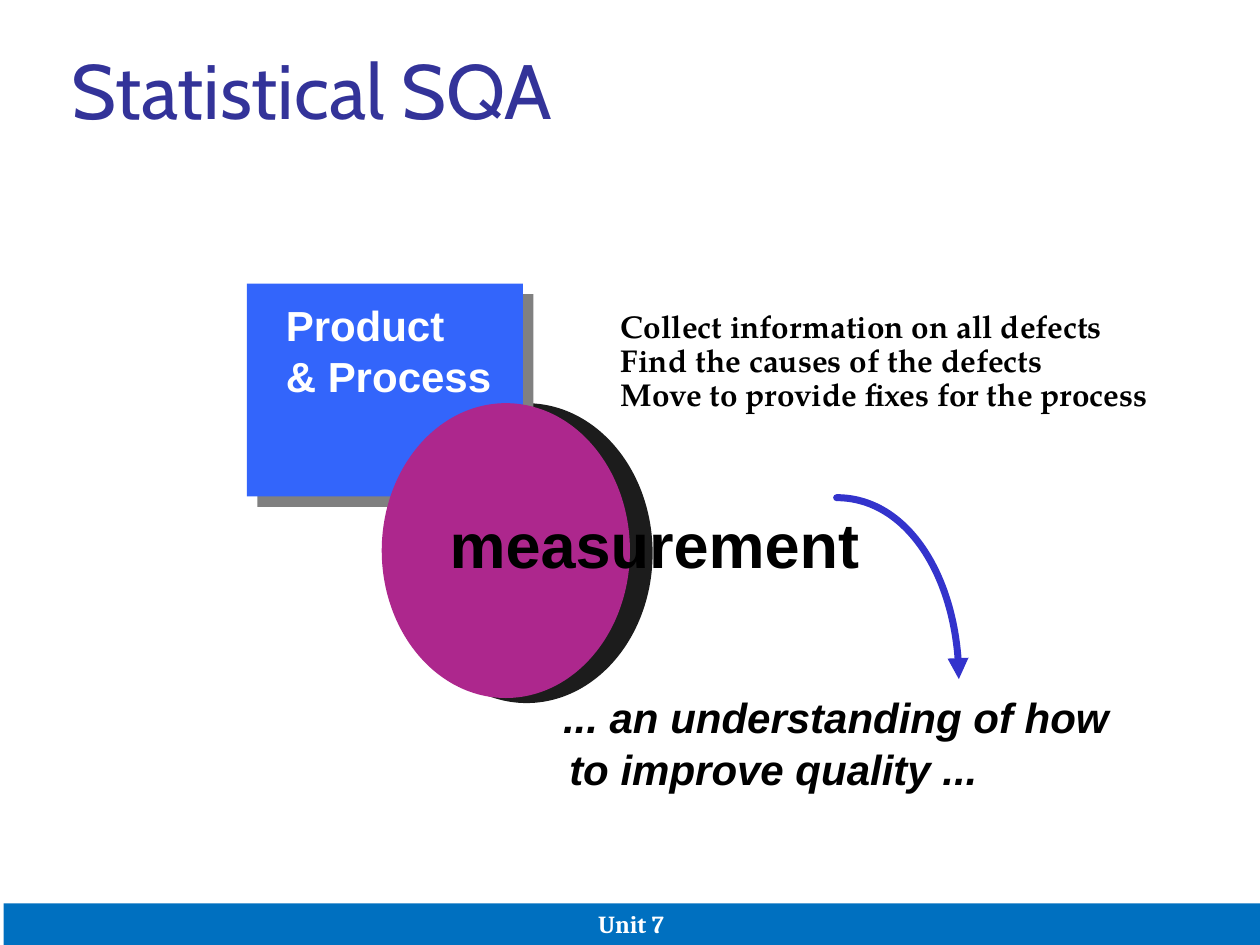
from dataclasses import dataclass

from lxml.etree import SubElement
from pptx import Presentation
from pptx.dml.color import RGBColor
from pptx.enum.shapes import MSO_SHAPE as SHAPE
from pptx.enum.text import MSO_ANCHOR as ANCHOR, MSO_AUTO_SIZE as FIT, PP_ALIGN as ALIGN
from pptx.oxml.ns import qn
from pptx.util import Emu, Inches, Pt

CELL = Inches(0.1)  # the slide is a grid of 100 columns by 75 rows
COLS, ROWS = 100, 75


@dataclass(frozen=True)
class Theme:
    title: str = "333399"
    product: str = "3365FB"
    product_shadow: str = "808080"
    measure: str = "AD278D"
    measure_shadow: str = "1C1C1C"
    arrow: str = "3333CC"
    footer: str = "0070C0"
    dark: str = "000000"
    light: str = "FFFFFF"
    heading_font: str = "Cabin"
    label_font: str = "Arial"
    list_font: str = "TeX Gyre Pagella"
    footer_font: str = "Cambria"
    title_size: int = 44
    big_size: int = 36
    label_size: int = 24
    list_size: int = 18
    footer_size: int = 14


THEME = Theme()


@dataclass(frozen=True)
class Box:
    """An area of the grid, in columns and rows."""
    col: float
    row: float
    cols: float
    rows: float

    def inner(self, col, row, cols, rows):
        return Box(self.col + col, self.row + row, cols, rows)

    def emu(self):
        return [Emu(round(n * CELL)) for n in (self.col, self.row, self.cols, self.rows)]


def write(sp, lines, *, size, color, font=THEME.label_font, bold=True, italic=False,
          align=None, anchor=ANCHOR.TOP, spacing=None, wrap=False, margins=(0.1, 0.05)):
    tf = sp.text_frame
    tf.word_wrap = wrap
    tf.auto_size = FIT.NONE if wrap else FIT.SHAPE_TO_FIT_TEXT
    tf.vertical_anchor = anchor
    tf.margin_left = tf.margin_right = Inches(margins[0])
    tf.margin_top = tf.margin_bottom = Inches(margins[1])
    for i, line in enumerate(lines):
        p = tf.add_paragraph() if i else tf.paragraphs[0]
        p.alignment = align
        p.line_spacing = spacing
        r = p.add_run()
        r.text = line
        r.font.name, r.font.size = font, Pt(size)
        r.font.bold, r.font.italic = bold, italic
        r.font.color.rgb = RGBColor.from_string(color)


def add_text(slide, box, *lines, **fmt):
    write(slide.shapes.add_textbox(*box.emu()), lines, **fmt)


def add_solid(slide, kind, box, color):
    sp = slide.shapes.add_shape(kind, *box.emu())
    sp.shadow.inherit = False
    sp.fill.solid()
    sp.fill.fore_color.rgb = RGBColor.from_string(color)
    sp.line.fill.background()
    return sp


def add_drop_shadow(sp, color, distance):
    effects = sp.element.spPr.find(qn("a:effectLst"))
    shadow = SubElement(effects, qn("a:outerShdw"), dist=str(Pt(distance)),
                        dir=str(45 * 60000), algn="tl", rotWithShape="0")
    SubElement(shadow, qn("a:srgbClr"), val=color)


def add_curved_arrow(slide, box, color, width):
    """Quarter ellipse from the top left to the bottom right of the box."""
    x, y, w, h = box.emu()
    builder = slide.shapes.build_freeform(x, y)
    builder.add_line_segments([(x + w, y + h)], close=False)
    sp = builder.convert_to_shape()
    sp.shadow.inherit = False
    sp.fill.background()
    sp.line.color.rgb = RGBColor.from_string(color)
    sp.line.width = Pt(width)

    # Turn the straight segment into a curve
    segment = next(sp.element.iter(qn("a:lnTo")))
    segment.tag = qn("a:cubicBezTo")
    for child in list(segment):
        segment.remove(child)
    for px, py in ((0.55, 0), (1, 0.45), (1, 1)):
        SubElement(segment, qn("a:pt"), x=str(round(w * px)), y=str(round(h * py)))

    # Round start and arrowhead
    ln = sp.element.spPr.find(qn("a:ln"))
    ln.set("cap", "rnd")
    SubElement(ln, qn("a:round"))
    SubElement(ln, qn("a:tailEnd"), type="triangle")


def title(slide, box):
    sp = slide.shapes.title
    sp.left, sp.top, sp.width, sp.height = box.emu()
    write(sp, ["Statistical SQA"], size=THEME.title_size, color=THEME.title,
          font=THEME.heading_font, bold=False, align=ALIGN.LEFT,
          anchor=ANCHOR.MIDDLE, margins=(0.07, 0.03))


def measurement_diagram(slide, box):
    # Dark disc behind, then the product square and its label
    add_solid(slide, SHAPE.OVAL, box.inner(12.2, 9.5, 20, 23.8), THEME.measure_shadow)
    square = add_solid(slide, SHAPE.RECTANGLE, box.inner(0, 0, 21.9, 16.9), THEME.product)
    add_drop_shadow(square, THEME.product_shadow, 8.5)
    add_text(slide, box.inner(2.1, 0.8, 18.3, 9), "Product", "& Process",
             size=THEME.label_size, color=THEME.light)
    # Measurement disc
    add_solid(slide, SHAPE.OVAL, box.inner(10.7, 9.5, 19.7, 23.4), THEME.measure)
    add_text(slide, box.inner(15.1, 17.1, 34.5, 7), "measurement",
             size=THEME.big_size, color=THEME.dark)


def outcome(slide, box):
    for line, col, row, cols in (("... an understanding of how", 0, 14.9, 46.2),
                                 ("to improve quality ...", 0.5, 19, 34.4)):
        add_text(slide, box.inner(col, row, cols, 5), line,
                 size=THEME.label_size, color=THEME.dark, italic=True)
    add_curved_arrow(slide, box.inner(22.7, 0, 9.7, 14.4), THEME.arrow, 4)


def steps(slide, box):
    add_text(slide, box, "Collect information on all defects",
             "Find the causes of the defects",
             "Move to provide fixes for the process",
             size=THEME.list_size, color=THEME.dark, font=THEME.list_font, spacing=0.9)


def footer(slide, box):
    bar = add_solid(slide, SHAPE.RECTANGLE, box, THEME.footer)
    write(bar, ["Unit 7 "], size=THEME.footer_size, color=THEME.light,
          font=THEME.footer_font, align=ALIGN.CENTER, anchor=ANCHOR.BOTTOM, wrap=True)


def main():
    prs = Presentation()
    prs.slide_width, prs.slide_height = COLS * CELL, ROWS * CELL
    slide = prs.slides.add_slide(prs.slide_layouts[5])
    title(slide, Box(5, 3, 40.8, 8))
    measurement_diagram(slide, Box(19.6, 22.5, 32.2, 33.3))
    outcome(slide, Box(43.7, 39.5, 46.2, 24))
    steps(slide, Box(48.3, 24.2, 44.2, 9.1))
    footer(slide, Box(0.3, 71.7, COLS, 3.3))
    prs.save("out.pptx")


if __name__ == "__main__":
    main()
